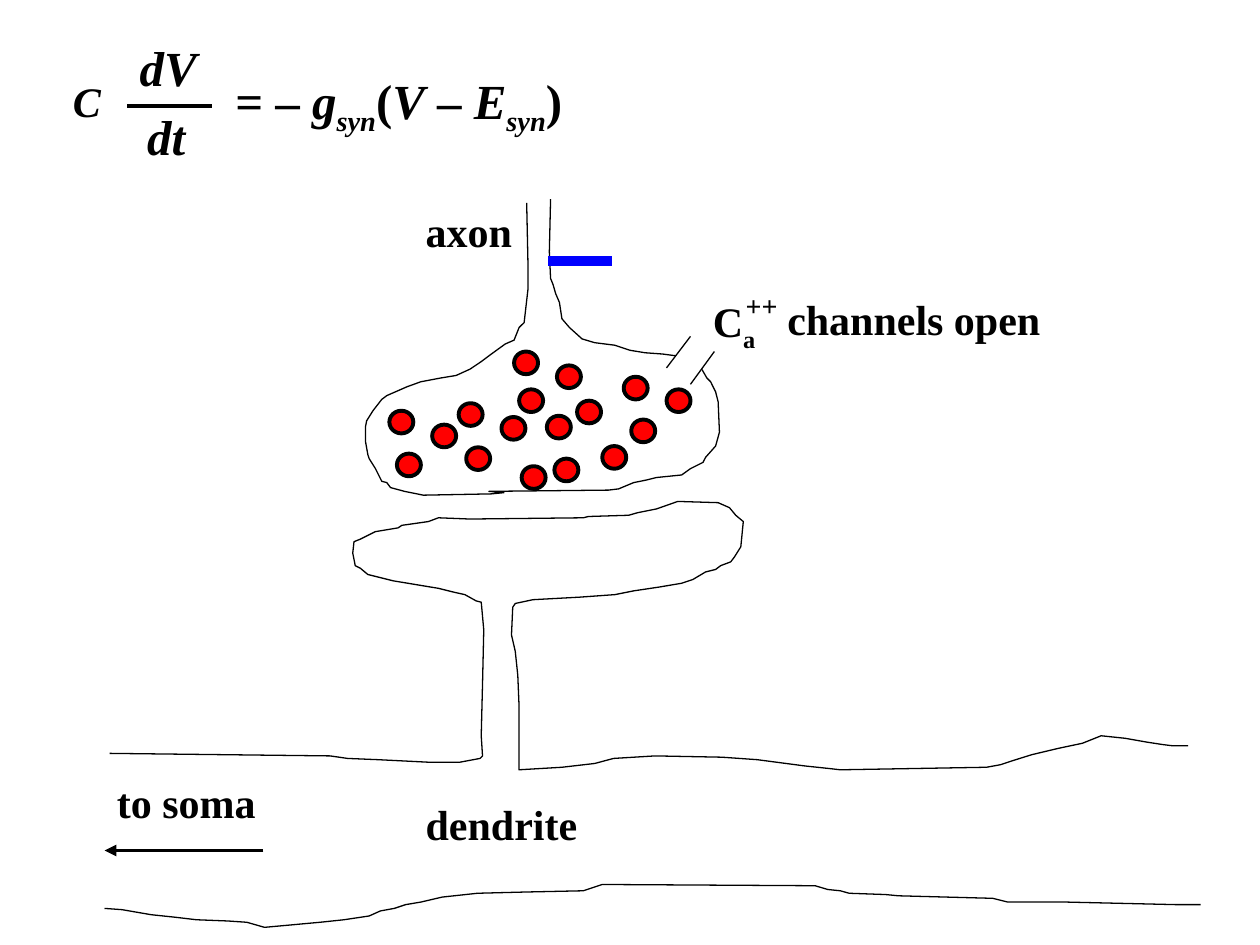
import collections

import lxml.etree
import pptx
import pptx.dml.color
import pptx.enum.shapes
import pptx.enum.text
import pptx.oxml.ns
import pptx.util

UNIT = pptx.util.Cm(0.0254)  # drawing grid: all positions count these steps
FONT = "Times New Roman"
BLACK, WHITE, RED, BLUE = "000000", "FFFFFF", "FF0000", "0000FF"
ITALIC, SUB, ITALIC_SUB = "i", "s", "is"

Box = collections.namedtuple("Box", "left top")

# Outlines, as grid points relative to the box of their region
AXON_TERMINAL = [
    (218, 61), (219, 107), (219, 130), (216, 156), (212, 160), (208, 170),
    (201, 173), (190, 181), (182, 187), (173, 193), (162, 198), (150, 200),
    (134, 203), (123, 207), (107, 214), (103, 217), (96, 226), (91, 234),
    (90, 239), (90, 250), (92, 261), (93, 264), (98, 272), (103, 282),
    (107, 283), (110, 287), (121, 290), (136, 293), (190, 292), (200, 291),
    (188, 290), (283, 289), (291, 288), (303, 283), (313, 281), (321, 279),
    (341, 277), (348, 272), (358, 267), (360, 263), (368, 254), (371, 243),
    (370, 219), (368, 211), (364, 203), (361, 200), (357, 193), (350, 189),
    (341, 183), (326, 181), (312, 180), (300, 178), (288, 174), (272, 172),
    (262, 169), (252, 160), (246, 153), (244, 140), (241, 133), (239, 126),
    (237, 121), (236, 100), (237, 58)]
SPINE = [
    (87, 298), (262, 300), (276, 302), (300, 303), (340, 305), (365, 305),
    (381, 302), (383, 300), (382, 284), (383, 243), (384, 200), (382, 178),
    (378, 177), (369, 172), (360, 170), (348, 167), (330, 164), (312, 161),
    (292, 156), (286, 151), (282, 149), (280, 139), (281, 130), (286, 128),
    (298, 122), (316, 119), (319, 117), (340, 114), (348, 111), (373, 112),
    (463, 111), (467, 110), (499, 109), (506, 107), (521, 104), (538, 98),
    (570, 99), (579, 103), (584, 109), (590, 114), (588, 134), (583, 142),
    (580, 146), (572, 149), (568, 152), (560, 154), (550, 160), (541, 163),
    (523, 166), (503, 169), (488, 172), (460, 174), (423, 176), (409, 179),
    (407, 182), (406, 204), (409, 217), (411, 236), (412, 260), (412, 311),
    (446, 309), (472, 306), (487, 302), (520, 300), (573, 301), (601, 303),
    (639, 308), (658, 310), (667, 311), (783, 309), (794, 307), (803, 304),
    (819, 299), (840, 294), (859, 290), (874, 284), (893, 286), (910, 289),
    (923, 291), (931, 292), (943, 292)]
LOWER_EDGE = [
    (83, 421), (97, 422), (120, 426), (139, 428), (156, 430), (181, 431),
    (196, 432), (210, 436), (254, 432), (273, 430), (293, 427), (302, 423),
    (313, 421), (322, 418), (334, 416), (351, 412), (379, 409), (417, 408),
    (463, 407), (478, 402), (647, 403), (657, 406), (667, 407), (674, 409),
    (703, 410), (713, 411), (788, 413), (800, 416), (847, 416), (933, 418),
    (953, 418)]
VESICLES = [
    (164, 220), (198, 231), (170, 255), (214, 270), (258, 218), (234, 230),
    (278, 254), (240, 264), (208, 179), (242, 190), (212, 209), (109, 226),
    (143, 237), (115, 260), (295, 199), (329, 209), (301, 233)]


def color(code):
    return pptx.dml.color.RGBColor.from_string(code)


def place(box, x, y):
    return box.left + x * UNIT, box.top + y * UNIT


def set_line(shape, code, width):
    shape.line.color.rgb = color(code)
    shape.line.width = pptx.util.Pt(width)


def add_label(page, box, x, y, width, height, spans, size=24):
    """Place one line of bold text; spans are (text, style) pairs."""
    label = page.shapes.add_textbox(*place(box, x, y), width * UNIT, height * UNIT)
    label.text_frame.word_wrap = False
    label.text_frame.auto_size = pptx.enum.text.MSO_AUTO_SIZE.SHAPE_TO_FIT_TEXT
    para = label.text_frame.paragraphs[0]
    para.font.name, para.font.size, para.font.bold = FONT, pptx.util.Pt(size), True
    para.font.color.rgb = color(BLACK)
    for text, style in spans:
        span = para.add_run()
        span.text = text
        font = span.font
        font.name, font.size, font.bold = FONT, pptx.util.Pt(size), True
        font.color.rgb = color(BLACK)
        font.italic = ITALIC in style
        if SUB in style:
            font._element.set("baseline", "-25000")


def add_line(page, box, start, end, code=BLACK, width=0.75, arrow=False):
    line = page.shapes.add_connector(
        pptx.enum.shapes.MSO_CONNECTOR.STRAIGHT, *place(box, *start), *place(box, *end))
    set_line(line, code, width)
    if arrow:
        lxml.etree.SubElement(line.line._get_or_add_ln(),
                              pptx.oxml.ns.qn("a:tailEnd"), type="triangle")
    lxml.etree.SubElement(line._element.spPr, pptx.oxml.ns.qn("a:effectLst"))


def add_solid(shapes, kind, box, x, y, width, height, fill, edge, edge_width):
    solid = shapes.add_shape(kind, *place(box, x, y), width * UNIT, height * UNIT)
    solid.shadow.inherit = False
    solid.fill.solid()
    solid.fill.fore_color.rgb = color(fill)
    set_line(solid, edge, edge_width)
    return solid


def add_outline(page, box, points):
    builder = page.shapes.build_freeform(*points[0], scale=UNIT)
    builder.add_line_segments(points[1:], close=False)
    outline = builder.convert_to_shape(*box)
    outline.shadow.inherit = False
    outline.fill.background()
    set_line(outline, BLACK, 0.75)


def build_equation(page, box):
    add_label(page, box, 8, 35, 43, 50, [("C", ITALIC)])
    # Fraction
    add_label(page, box, 61, 5, 66, 57, [("dV", ITALIC)], 28)
    add_line(page, box, (61, 64), (128, 64), width=2.25)
    add_label(page, box, 67, 60, 51, 57, [("dt", ITALIC)], 28)
    # Right-hand side
    add_label(page, box, 137, 31, 303, 57, [
        ("= – ", ""), ("g", ITALIC), ("syn", ITALIC_SUB), ("(", ""), ("V", ITALIC),
        (" – ", ""), ("E", ITALIC), ("syn", ITALIC_SUB), (")", "")], 28)


def build_dendrite(page, box):
    add_outline(page, box, SPINE)
    add_outline(page, box, LOWER_EDGE)
    add_label(page, box, 328, 329, 142, 50, [("dendrite", "")])
    add_label(page, box, 83, 311, 132, 50, [("to soma", "")])
    add_line(page, box, (209, 375), (83, 375), width=2.25, arrow=True)


def build_axon(page, box):
    add_outline(page, box, AXON_TERMINAL)
    add_label(page, box, 128, 58, 89, 50, [("axon", "")])
    add_line(page, box, (235, 107), (286, 107), BLUE, 6)
    # Vesicles
    group = page.shapes.add_group_shape()
    for x, y in VESICLES:
        add_solid(group.shapes, pptx.enum.shapes.MSO_SHAPE.OVAL, box, x, y, 19, 18,
                  RED, BLACK, 2.25)


def build_calcium_channel(page, box):
    # Gap in the membrane between two channel walls
    gap = add_solid(page.shapes, pptx.enum.shapes.MSO_SHAPE.RECTANGLE, box,
                    42, 74, 14, 22, WHITE, WHITE, 0.75)
    gap.rotation = 304.8
    add_line(page, box, (48, 67), (29, 92))
    add_line(page, box, (67, 79), (48, 105))
    # Label
    add_label(page, box, 56, 30, 56, 50, [("C", ""), ("a", SUB)])
    add_label(page, box, 82, 24, 46, 37, [("++", "")], 16)
    add_label(page, box, 115, 28, 223, 50, [("channels open", "")])


def main():
    deck = pptx.Presentation()
    deck.slide_width, deck.slide_height = pptx.util.Cm(25.4), pptx.util.Cm(19.05)
    page = deck.slides.add_slide(deck.slide_layouts[6])
    build_equation(page, Box(40 * UNIT, 20 * UNIT))
    build_dendrite(page, Box(0, 300 * UNIT))
    build_axon(page, Box(200 * UNIT, 100 * UNIT))
    build_calcium_channel(page, Box(500 * UNIT, 200 * UNIT))
    deck.save("out.pptx")


if __name__ == "__main__":
    main()
